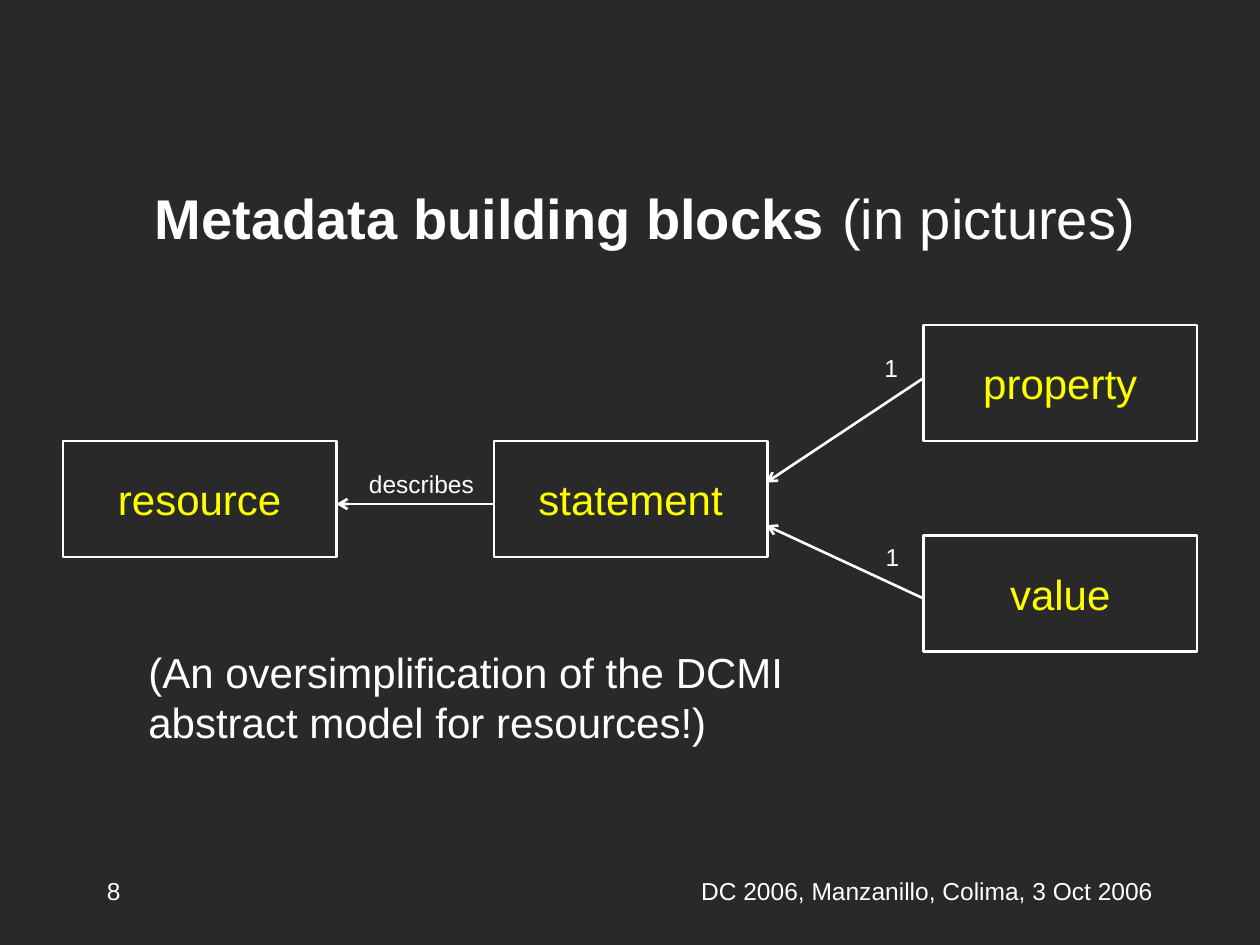
import pptx
import pptx.util
import pptx.dml.color
import pptx.enum.shapes
import pptx.enum.text
import pptx.oxml.ns
from lxml import etree

Inches, Pt = pptx.util.Inches, pptx.util.Pt
RGBColor = pptx.dml.color.RGBColor
PP_ALIGN, MSO_ANCHOR = pptx.enum.text.PP_ALIGN, pptx.enum.text.MSO_ANCHOR
qn = pptx.oxml.ns.qn

BACKGROUND = RGBColor(0x29, 0x29, 0x29)
WHITE = RGBColor(0xFF, 0xFF, 0xFF)
YELLOW = RGBColor(0xFF, 0xFF, 0x00)
FONT = "Arial"

# Content: text, size, bold
TITLE = [("Metadata building blocks", 32, True), (" ", 36, True),
         ("(in pictures)", 32, False)]
# Model boxes: name, left, top
BOX_WIDTH, BOX_HEIGHT = 2.17, 0.92
BOXES = [("resource", 0.5, 3.5), ("statement", 3.92, 3.5),
         ("value", 7.33, 4.25), ("property", 7.33, 2.58)]
# Relations: start, end
ARROWS = [((3.92, 4), (2.67, 4)), ((7.33, 3), (6.08, 3.83)),
          ((7.33, 4.75), (6.08, 4.17))]
# Captions: text, left, top, width, height, size, alignment
CAPTIONS = [
    ("describes", 2.83, 3.67, 1.17, 0.34, 14, PP_ALIGN.LEFT),
    ("1", 6.92, 2.75, 0.33, 0.34, 14, PP_ALIGN.LEFT),
    ("1", 6.93, 4.25, 0.33, 0.34, 14, PP_ALIGN.LEFT),
    ("(An oversimplification of the DCMI abstract model for resources!)",
     1.08, 5.08, 5.5, 0.9, 24, PP_ALIGN.LEFT),
    ("DC 2006, Manzanillo, Colima, 3 Oct 2006",
     5, 6.9, 4.25, 0.5, 14, PP_ALIGN.RIGHT),
    ("8", 0.75, 6.9, 4.25, 0.5, 14, PP_ALIGN.LEFT),
]


def style_font(font, size, color):
    font.name, font.size, font.color.rgb = FONT, Pt(size), color


def add_title(slide):
    title = slide.shapes.title
    title.left, title.top = Inches(0.75), Inches(1.08)
    title.width, title.height = Inches(8.5), Inches(1.25)
    frame = title.text_frame
    frame.auto_size = pptx.enum.text.MSO_AUTO_SIZE.NONE
    frame.vertical_anchor = MSO_ANCHOR.MIDDLE
    paragraph = frame.paragraphs[0]
    paragraph.alignment = PP_ALIGN.LEFT
    properties = paragraph._p.get_or_add_pPr()
    properties.set("marL", str(Inches(0.38)))
    properties.set("indent", "0")
    for text, size, bold in TITLE:
        run = paragraph.add_run()
        run.text = text
        style_font(run.font, size, WHITE)
        run.font.bold = bold


def add_arrow(slide, start, end):
    arrow = slide.shapes.add_connector(
        pptx.enum.shapes.MSO_CONNECTOR.STRAIGHT,
        *(Inches(value) for value in start + end))
    arrow.line.color.rgb = WHITE
    arrow.line.width = Pt(1.5)
    etree.SubElement(arrow.line._get_or_add_ln(), qn("a:tailEnd"), type="arrow")
    etree.SubElement(arrow._element.spPr, qn("a:effectLst"))


def add_box(slide, name, left, top):
    box = slide.shapes.add_shape(
        pptx.enum.shapes.MSO_SHAPE.RECTANGLE, Inches(left), Inches(top),
        Inches(BOX_WIDTH), Inches(BOX_HEIGHT))
    box.shadow.inherit = False
    box.fill.background()
    box.line.color.rgb = WHITE
    box.line.width = Pt(1.5)
    frame = box.text_frame
    frame.text = name
    frame.word_wrap = False
    frame.vertical_anchor = MSO_ANCHOR.MIDDLE
    paragraph = frame.paragraphs[0]
    paragraph.alignment = PP_ALIGN.CENTER
    style_font(paragraph.font, 24, YELLOW)


def add_caption(slide, text, left, top, width, height, size, alignment):
    frame = slide.shapes.add_textbox(
        Inches(left), Inches(top), Inches(width), Inches(height)).text_frame
    frame.text = text
    frame.word_wrap = True
    paragraph = frame.paragraphs[0]
    paragraph.alignment = alignment
    style_font(paragraph.font, size, WHITE)


def main():
    deck = pptx.Presentation()
    deck.slide_width, deck.slide_height = Inches(10), Inches(7.5)
    slide = deck.slides.add_slide(deck.slide_layouts[5])
    slide.background.fill.solid()
    slide.background.fill.fore_color.rgb = BACKGROUND

    add_title(slide)
    for start, end in ARROWS:
        add_arrow(slide, start, end)
    for box in BOXES:
        add_box(slide, *box)
    for caption in CAPTIONS:
        add_caption(slide, *caption)
    deck.save("out.pptx")


if __name__ == "__main__":
    main()
